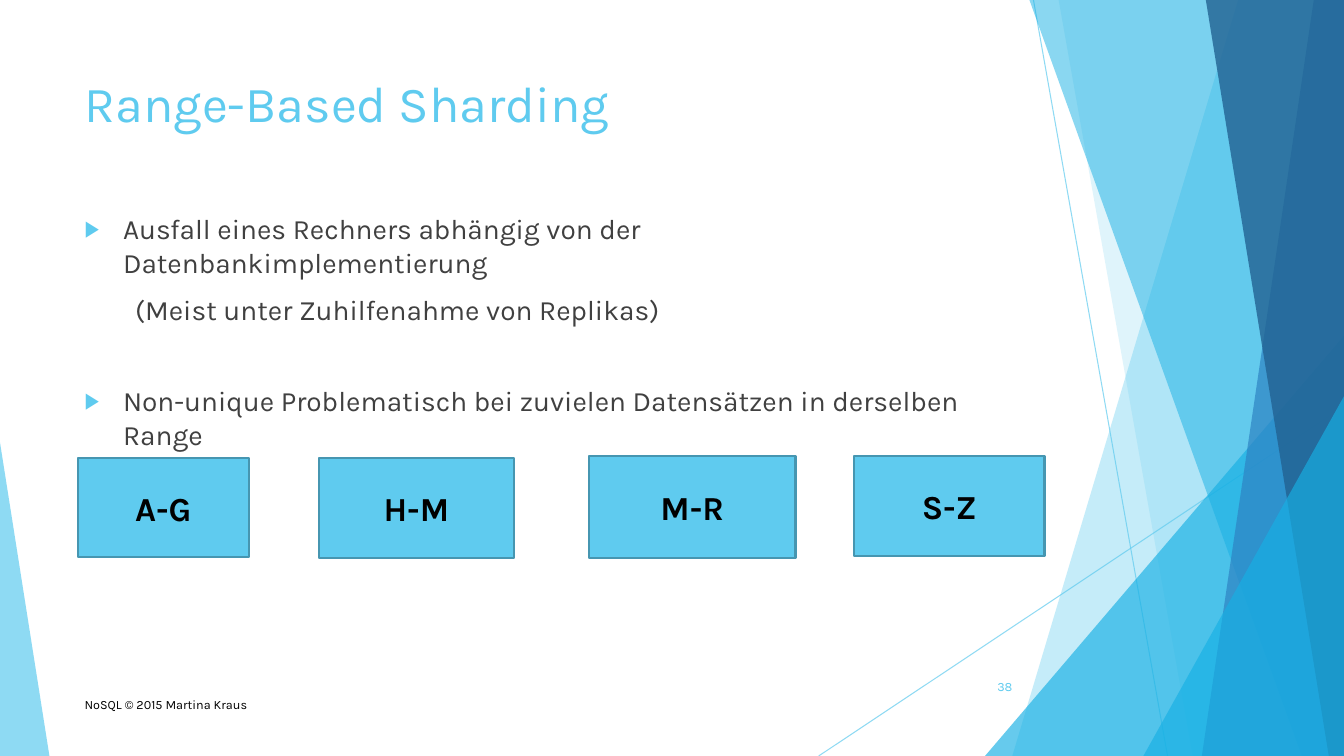
from lxml import etree
from pptx import Presentation
from pptx.dml.color import RGBColor
from pptx.enum.shapes import MSO_CONNECTOR, MSO_SHAPE
from pptx.enum.text import MSO_ANCHOR, MSO_AUTO_SIZE, PP_ALIGN
from pptx.oxml.ns import qn
from pptx.util import Inches, Pt

WIDTH, HEIGHT = 13.33, 7.5
LEFT, COLUMN = 0.74, 9.4
FONT = "Karla"
STRAIGHT = MSO_CONNECTOR.STRAIGHT
TRIANGLE, RECTANGLE = MSO_SHAPE.ISOSCELES_TRIANGLE, MSO_SHAPE.RECTANGLE
TOP, MIDDLE = MSO_ANCHOR.TOP, MSO_ANCHOR.MIDDLE
ALIGN_LEFT, ALIGN_CENTER, ALIGN_RIGHT = PP_ALIGN.LEFT, PP_ALIGN.CENTER, PP_ALIGN.RIGHT
COLORS = {
    "sky": "5FCBEF",
    "cyan": "17B0E4",
    "blue": "2E83C3",
    "navy": "226292",
    "border": "4696B1",
    "text": "404040",
    "black": "000000",
}
BANDS = [
    (12.28, 10.04, "sky", 36),
    (10.5, 11.83, "sky", 20),
    (10.21, 12.91, "cyan", 50),
    (13.03, 11.92, "blue", 70),
    (11.96, 13.18, "navy", 80),
]
RANGES = [
    ("A-G", 0.77, 4.54, 1.7, 0.99),
    ("H-M", 3.16, 4.54, 1.94, 1),
    ("M-R", 5.84, 4.52, 2.05, 1.02),
    ("S-Z", 8.47, 4.52, 1.89, 1),
]


def color(name):
    """Return the named colour."""
    return RGBColor.from_string(COLORS[name])


def set_opacity(shape, percent):
    """Make every colour of a shape partly transparent."""
    for node in shape._element.spPr.iter(qn("a:srgbClr")):
        etree.SubElement(node, qn("a:alpha"), val=str(percent * 1000))


def paint(shape, fill, opacity):
    """Fill a decorative shape without outline or shadow."""
    shape.shadow.inherit = False
    shape.fill.solid()
    shape.fill.fore_color.rgb = color(fill)
    shape.line.fill.background()
    set_opacity(shape, opacity)


def add_ray(page, start, end):
    """Draw a thin translucent line."""
    ray = page.shapes.add_connector(STRAIGHT, *map(Inches, start + end))
    ray.line.color.rgb = color("sky")
    ray.line.width = Pt(0.75)
    set_opacity(ray, 70)
    etree.SubElement(ray._element.spPr, qn("a:effectLst"))


def add_band(page, top_x, bottom_x, fill, opacity):
    """Draw a slanted band that reaches the right slide edge."""
    builder = page.shapes.build_freeform(Inches(top_x), 0)
    corners = [(WIDTH, 0), (WIDTH, HEIGHT), (bottom_x, HEIGHT)]
    builder.add_line_segments([(Inches(x), Inches(y)) for x, y in corners])
    paint(builder.convert_to_shape(), fill, opacity)


def add_wedge(page, left, width, height, apex, fill, opacity):
    """Draw a right-angled triangle standing on the bottom edge."""
    frame = map(Inches, (left, HEIGHT - height, width, height))
    wedge = page.shapes.add_shape(TRIANGLE, *frame)
    wedge.adjustments[0] = apex
    paint(wedge, fill, opacity)


def add_background(page):
    """Draw the translucent facets and rays from back to front."""
    add_ray(page, (10.25, 0), (11.58, HEIGHT))
    add_ray(page, (WIDTH, 4.03), (8.12, HEIGHT))
    for band in BANDS[:2]:
        add_band(page, *band)
    add_wedge(page, 9.77, 3.56, 4.17, 1, "cyan", 66)
    for band in BANDS[2:]:
        add_band(page, *band)
    add_wedge(page, 11.34, 1.99, 3.57, 1, "cyan", 66)
    add_wedge(page, 0, 0.49, 3.11, 0, "sky", 70)


def write(para, text, size, ink, align=ALIGN_LEFT, bold=False):
    """Put formatted text into a paragraph."""
    para.text = text
    para.alignment = align
    para.font.name = FONT
    para.font.size = Pt(size)
    para.font.bold = bold
    para.font.color.rgb = color(ink)


def place(shape, left, top, width, height):
    """Move a placeholder and anchor its wrapped text at the top."""
    shape.left, shape.top = Inches(left), Inches(top)
    shape.width, shape.height = Inches(width), Inches(height)
    shape.text_frame.word_wrap = True
    shape.text_frame.auto_size = MSO_AUTO_SIZE.NONE
    shape.text_frame.vertical_anchor = TOP


def set_bullet(para, margin, bulleted):
    """Set the indent and the arrow bullet of a list paragraph."""
    properties = para._p.get_or_add_pPr()
    properties.set("marL", str(Inches(margin)))
    properties.set("indent", str(-Inches(margin) if bulleted else 0))
    if not bulleted:
        etree.SubElement(properties, qn("a:buNone"))
        return
    tint = etree.SubElement(properties, qn("a:buClr"))
    etree.SubElement(tint, qn("a:srgbClr"), val=COLORS["sky"])
    etree.SubElement(properties, qn("a:buSzPct"), val="80000")
    etree.SubElement(properties, qn("a:buChar"), char="▶")


def add_list(body, items):
    """Fill the body placeholder with list paragraphs."""
    frame = body.text_frame
    for index, (text, margin, bulleted, gap) in enumerate(items):
        para = frame.add_paragraph() if index else frame.paragraphs[0]
        set_bullet(para, margin, bulleted)
        para.space_before = Pt(gap)
        write(para, text, 20, "text")


def add_label(page, text, frame, ink, align, anchor):
    """Add a small footer text."""
    box = page.shapes.add_textbox(*map(Inches, frame))
    box.text_frame.word_wrap = True
    box.text_frame.vertical_anchor = anchor
    write(box.text_frame.paragraphs[0], text, 9, ink, align)


def add_range(page, text, *frame):
    """Add one shard box labelled with its key range."""
    box = page.shapes.add_shape(RECTANGLE, *map(Inches, frame))
    box.shadow.inherit = False
    box.fill.solid()
    box.fill.fore_color.rgb = color("sky")
    box.line.color.rgb = color("border")
    box.line.width = Pt(1.5)
    box.text_frame.vertical_anchor = MIDDLE
    write(box.text_frame.paragraphs[0], text, 24, "black", ALIGN_CENTER, True)


def main():
    """Build and save the slide."""
    deck = Presentation()
    deck.slide_width, deck.slide_height = Inches(WIDTH), Inches(HEIGHT)
    page = deck.slides.add_slide(deck.slide_layouts[1])
    add_background(page)
    title, body = page.placeholders
    place(title, LEFT, 0.67, COLUMN, 1.44)
    write(title.text_frame.paragraphs[0], "Range-Based Sharding", 36, "sky")
    place(body, LEFT, 2.05, COLUMN, 4.56)
    add_list(body, [
        ("Ausfall eines Rechners abhängig von der Datenbankimplementierung", 0.38, True, 10),
        ("(Meist unter Zuhilfenahme von Replikas)", 0.5, False, 10),
        ("Non-unique Problematisch bei zuvielen Datensätzen in derselben Range", 0.38, True, 41),
    ])
    add_label(page, "38", (9.39, 6.61, 0.75, 0.4), "sky", ALIGN_RIGHT, MIDDLE)
    add_label(page, "NoSQL © 2015 Martina Kraus", (LEFT, 6.86, 6.89, 0.4), "black", ALIGN_LEFT, TOP)
    for shard in RANGES:
        add_range(page, *shard)
    deck.save("out.pptx")


main()
